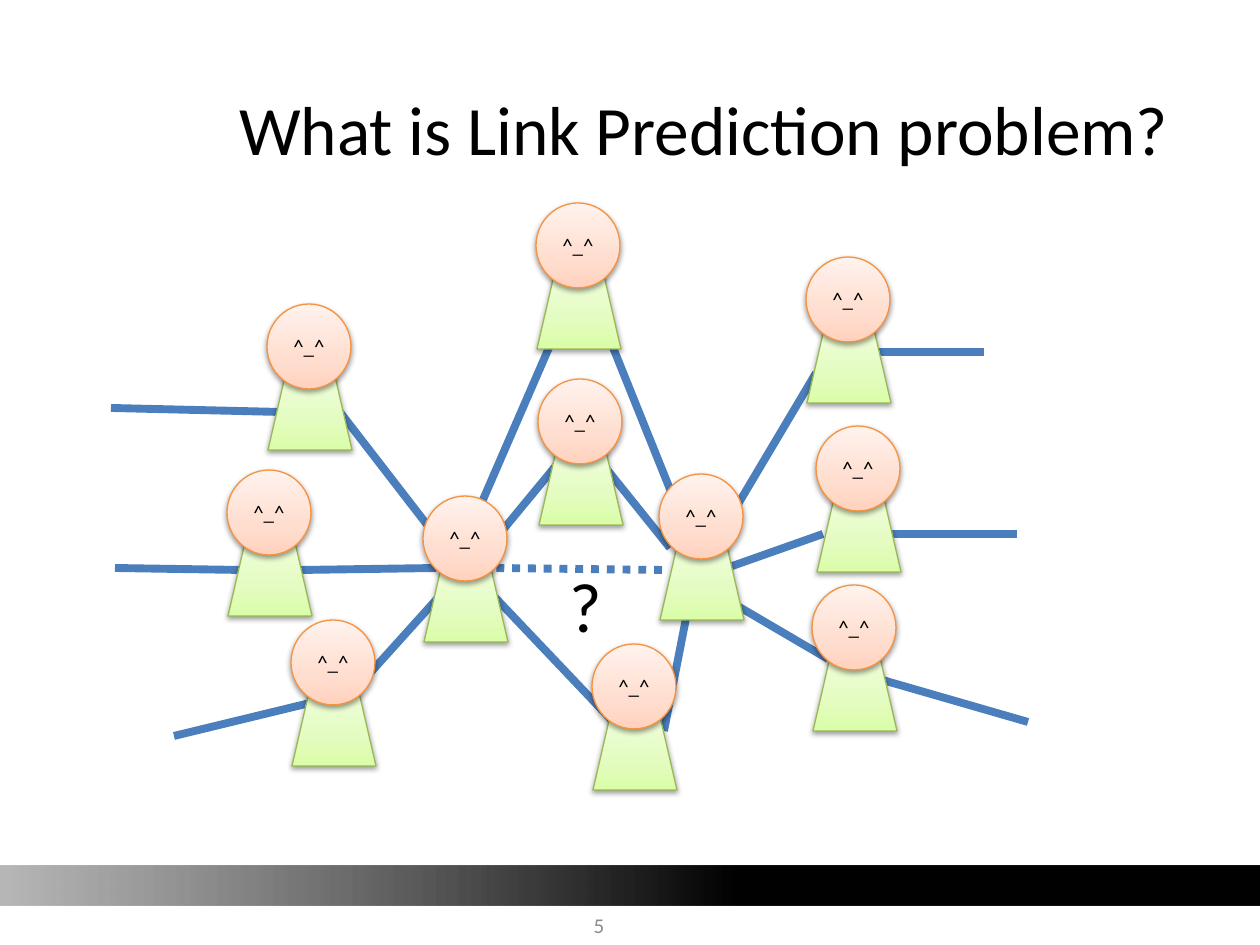
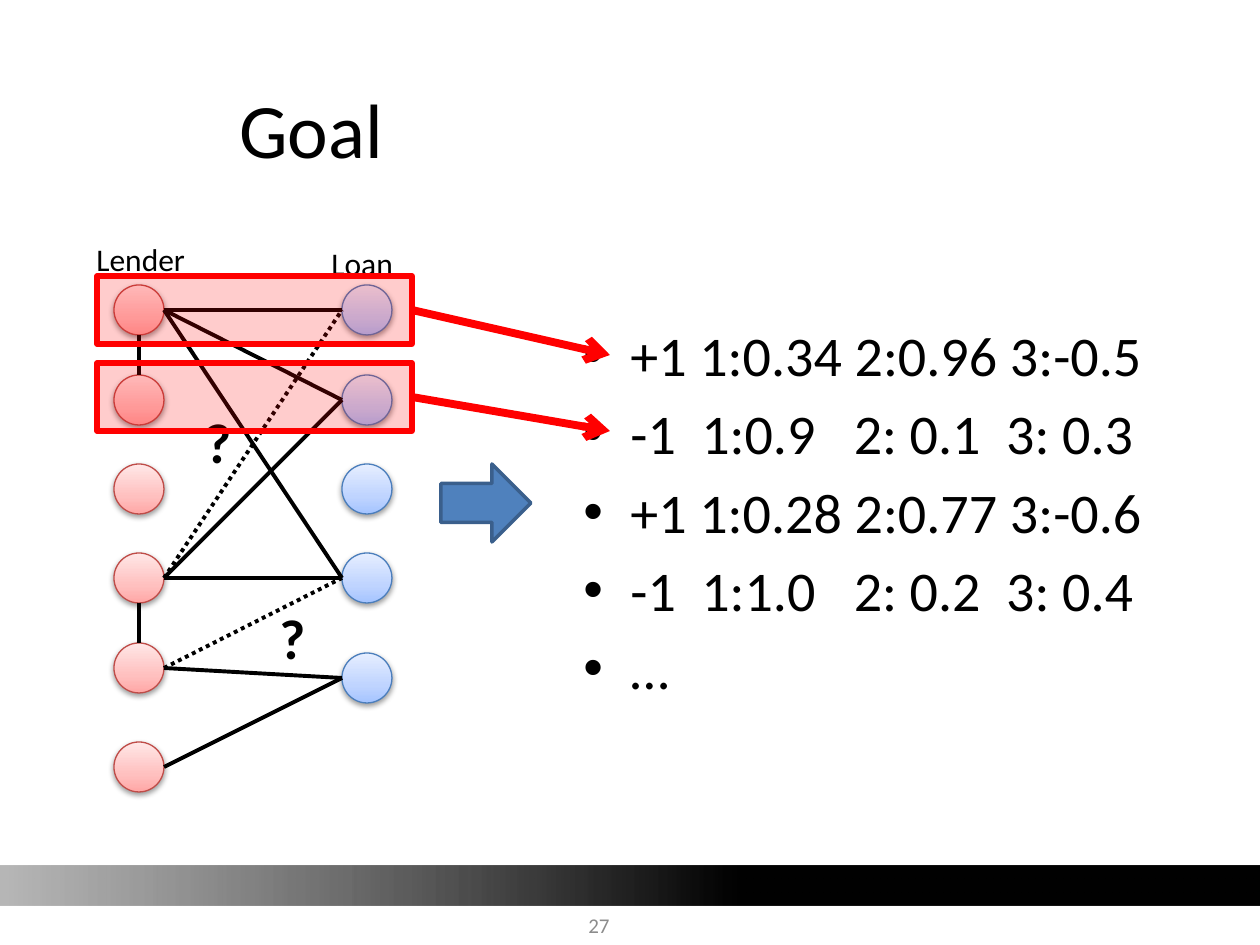
import pptx
import pptx.util
import pptx.dml.color
import pptx.enum.dml
import pptx.enum.shapes
import pptx.enum.text
import pptx.oxml
import lxml.etree

PX = 914400 / 126
FONT = "Calibri"
BLACK, BLUE, RED, GREY = "000000", "4B7EBC", "FF0000", "8C8C8C"
# Gradient stops: place in percent, colour, opacity in percent
SKIN = [(0, "FFD2BD", 100), (35, "FFDED0", 100), (100, "FFF2ED", 100)]
GREEN = [(0, "DAFDA7", 100), (35, "E4FCC2", 100), (100, "F5FFE7", 100)]
PINK = [(0, "FFA6A5", 100), (35, "FFC0BF", 100), (100, "FFE7E7", 100)]
SKY = [(0, "A4C4FF", 100), (35, "BFD4FF", 100), (100, "E6EEFF", 100)]
BAND = [(41, BLACK, 100), (100, "404040", 37)]
GLASS = [(0, RED, 20), (100, RED, 20)]

NS = "http://schemas.openxmlformats.org/drawingml/2006/main"
SHADE = (f'<a:outerShdw xmlns:a="{NS}" blurRad="40000" dist="20000" dir="5400000" '
         'rotWithShape="0"><a:srgbClr val="000000"><a:alpha val="38000"/>'
         '</a:srgbClr></a:outerShdw>')
rgb = pptx.dml.color.RGBColor.from_string
kinds = pptx.enum.shapes.MSO_SHAPE
align = pptx.enum.text.PP_ALIGN
anchor = pptx.enum.text.MSO_ANCHOR


def draw(slide, kind, box, stops, edge=None, width=0.75, angle=270, shade=False):
    """Add a preset shape with a gradient fill, an edge and a soft shadow."""
    shape = slide.shapes.add_shape(kind, *[round(v * PX) for v in box])
    shape.fill.gradient()
    marks = "".join(
        f'<a:gs pos="{pos * 1000}"><a:srgbClr val="{hue}">'
        f'<a:alpha val="{alpha * 1000}"/></a:srgbClr></a:gs>'
        for pos, hue, alpha in stops)
    props = shape.element.spPr
    props.replace(props.find(f"{{{NS}}}gradFill"), pptx.oxml.parse_xml(
        f'<a:gradFill xmlns:a="{NS}" rotWithShape="1"><a:gsLst>{marks}</a:gsLst>'
        f'<a:lin ang="{angle * 60000}" scaled="0"/></a:gradFill>'))
    if edge:
        shape.line.color.rgb = rgb(edge)
        shape.line.width = pptx.util.Pt(width)
    else:
        shape.line.fill.background()
    shape.shadow.inherit = False
    if shade:
        props.find(f"{{{NS}}}effectLst").append(pptx.oxml.parse_xml(SHADE))
    return shape


def join(slide, ends, hue, width, dots=False, arrow=False):
    """Add a straight line between two points."""
    line = slide.shapes.add_connector(
        pptx.enum.shapes.MSO_CONNECTOR.STRAIGHT, *[round(v * PX) for v in ends])
    line.line.color.rgb = rgb(hue)
    line.line.width = pptx.util.Pt(width)
    if dots:
        line.line.dash_style = pptx.enum.dml.MSO_LINE.ROUND_DOT
    if arrow:
        lxml.etree.SubElement(line.line._get_or_add_ln(), f"{{{NS}}}tailEnd", type="arrow")
    lxml.etree.SubElement(line.element.spPr, f"{{{NS}}}effectLst")


deck = pptx.Presentation()
deck.slide_width, deck.slide_height = round(1260 * PX), round(945 * PX)
net, goal = [deck.slides.add_slide(deck.slide_layouts[6]) for _ in range(2)]

# Band on each slide
for slide in (net, goal):
    draw(slide, kinds.RECTANGLE, (0, 866, 1260, 40), BAND, angle=180)

# Links between people
links = [
    (488, 548, 559, 462), (362, 682, 445, 590), (436, 568, 301, 570),
    (445, 548, 340, 412), (622, 731, 488, 590), (664, 731, 690, 598),
    (601, 462, 670, 548), (602, 320, 690, 539), (561, 320, 466, 539),
    (712, 548, 816, 373), (721, 570, 823, 534), (712, 591, 828, 659),
    (174, 736, 310, 703), (115, 568, 242, 570), (111, 408, 281, 412),
    (867, 352, 984, 352), (882, 534, 1017, 534), (879, 679, 1028, 722),
]
for ends in links:
    join(net, ends, BLUE, 4.5)
join(net, (662, 570, 496, 568), BLUE, 4.5, dots=True)

# People: body, then head
people = [(291, 620), (423, 496), (227, 470), (267, 304), (538, 379), (536, 203),
          (592, 644), (659, 474), (812, 585), (816, 426), (806, 257)]
for x, y in people:
    draw(net, kinds.TRAPEZOID, (x + 1, y + 55, 84, 91), GREEN, "98B955", shade=True)
    head = draw(net, kinds.OVAL, (x, y, 84, 85), SKIN, "F69240", shade=True)
    head.text_frame.word_wrap = False
    face = head.text_frame.paragraphs[0]
    face.text = "^_^"
    face.alignment = align.CENTER
    face.font.name, face.font.size = FONT, pptx.util.Pt(12)
    face.font.color.rgb = rgb(BLACK)

# Lender and loan nodes, given by their middle heights
lend = [310, 400, 489, 578, 668, 767]
loan = [310, 400, 489, 578, 678]
for x, nodes, stops, edge in ((114, lend, PINK, "BF4C48"), (342, loan, SKY, BLUE)):
    for y in nodes:
        draw(goal, kinds.OVAL, (x, y - 25, 50, 50), stops, edge, shade=True)

# Links from lender to loan, then from lender to lender
pairs = [(0, 0), (0, 1), (0, 3), (3, 1), (3, 3), (5, 4), (4, 4)]
asked = [(3, 0), (4, 3)]
for a, b in pairs + asked:
    join(goal, (164, lend[a], 342, loan[b]), BLACK, 2.25, dots=(a, b) in asked)
for a in (0, 3):
    join(goal, (139, lend[a + 1] - 25, 139, lend[a] + 25), BLACK, 2.25)

# Titles, page numbers and labels
title, page = (227, 49, 970, 158), (452, 906, 294, 39)
left, mid = align.LEFT, align.CENTER
labels = [
    (net, title, "What is Link Prediction problem?", 39.6, BLACK, False, left, anchor.MIDDLE),
    (goal, title, "Goal", 44, BLACK, False, left, anchor.MIDDLE),
    (net, page, "5", 12, GREY, False, mid, anchor.MIDDLE),
    (goal, page, "27", 12, GREY, False, mid, anchor.MIDDLE),
    (net, (557, 556, 70, 97), "?", 40, BLACK, False, left, anchor.TOP),
    (goal, (267, 597, 60, 81), "?", 32, BLACK, True, left, anchor.TOP),
    (goal, (193, 401, 60, 81), "?", 32, BLACK, True, left, anchor.TOP),
    (goal, (84, 234, 130, 50), "Lender", 18, BLACK, False, left, anchor.TOP),
    (goal, (319, 238, 110, 50), "Loan", 18, BLACK, False, left, anchor.TOP),
]
for slide, box, text, size, hue, bold, side, hold in labels:
    frame = slide.shapes.add_textbox(*[round(v * PX) for v in box]).text_frame
    frame.word_wrap = True
    frame.vertical_anchor = hold
    par = frame.paragraphs[0]
    par.text, par.alignment = text, side
    par.font.name, par.font.size, par.font.bold = FONT, pptx.util.Pt(size), bold
    par.font.color.rgb = rgb(hue)

# Data rows; wide gaps are spaced out so that the columns line up
rows = [
    ("+1 1:0.34 2:0.96 3:-0.5",),
    ("-1", "1:0.9", "2: 0.1", "3: 0.3"),
    ("+1 1:0.28 2:0.77 3:-0.6",),
    ("-1", "1:1.0", "2: 0.2", "3: 0.4"),
    ("…",),
]
gaps = (0, 720, 1450, 720)
frame = goal.shapes.add_textbox(*[round(v * PX) for v in (571, 314, 626, 447)]).text_frame
frame.word_wrap = True
for n, row in enumerate(rows):
    par = frame.paragraphs[0] if n == 0 else frame.add_paragraph()
    for cell, gap in zip(row, gaps):
        if gap:
            space = par.add_run()
            space.text = " "
            space.font._element.set("spc", str(gap))
        par.add_run().text = cell
    par.space_before = pptx.util.Pt(6.4)
    par.font.name, par.font.size = FONT, pptx.util.Pt(32)
    par.font.color.rgb = rgb(BLACK)
    for run in par.runs:
        run.font.name, run.font.size = FONT, pptx.util.Pt(32)
    props = par._p.get_or_add_pPr()
    props.set("marL", str(round(47 * PX)))
    props.set("indent", str(round(-47 * PX)))
    dot = lxml.etree.Element(f"{{{NS}}}buChar", char="•")
    face = lxml.etree.Element(f"{{{NS}}}buFont", typeface="Arial")
    props.find(f"{{{NS}}}spcBef").addnext(face)
    face.addnext(dot)

# Red frames, each with an arrow to its row
for top, tip in ((276, 355), (363, 431)):
    draw(goal, kinds.RECTANGLE, (97, top, 315, 68), GLASS, RED, 3)
    join(goal, (412, top + 34, 610, tip), RED, 4.5, arrow=True)

# Arrow from graph to data
draw(goal, kinds.RIGHT_ARROW, (441, 464, 90, 78),
     [(0, "4F81BD", 100), (100, "4F81BD", 100)], "3A5F8C", 2)

deck.save("out.pptx")
